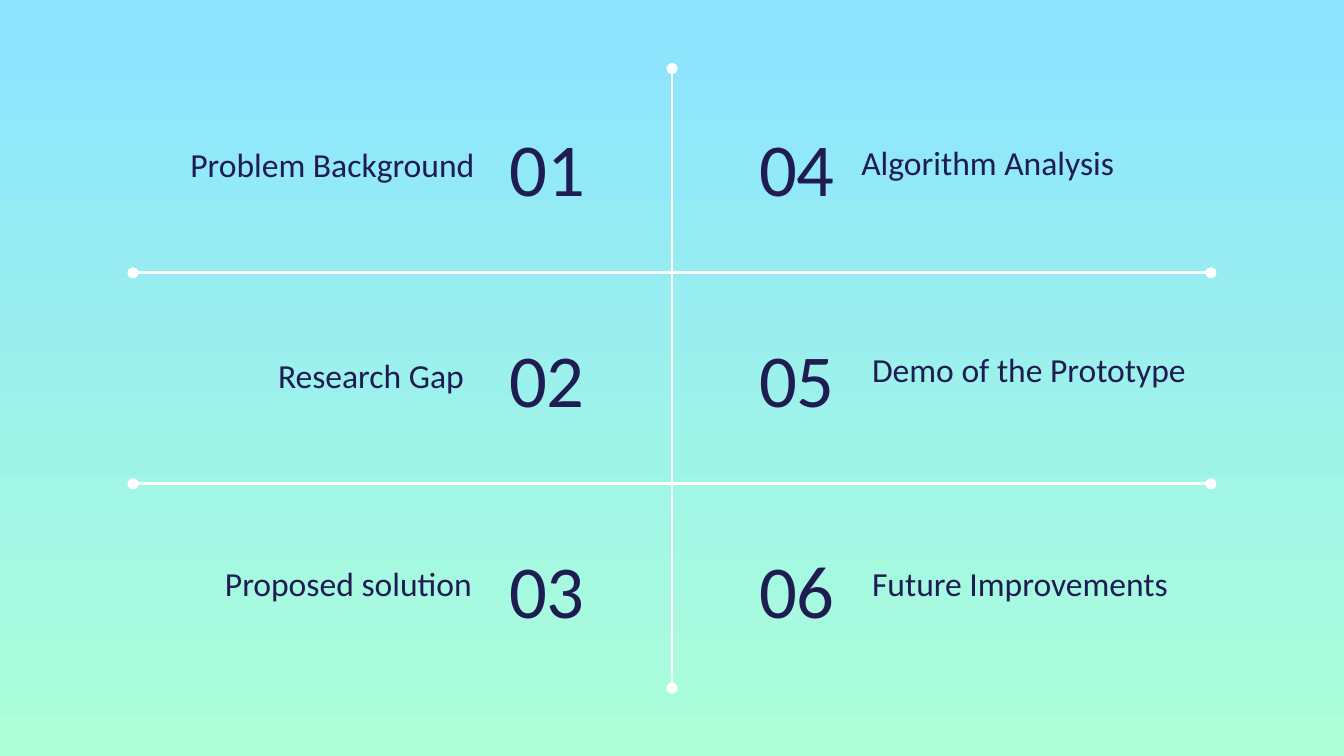
from lxml.etree import SubElement
from pptx import Presentation
from pptx.dml.color import RGBColor
from pptx.enum.shapes import MSO_CONNECTOR
from pptx.enum.text import MSO_ANCHOR, PP_ALIGN
from pptx.oxml.ns import qn
from pptx.util import Inches, Pt

COLORS = {"sky": "8BE3FF", "mint": "ACFFD9", "ink": "1F1C51", "rule": "FFFFFF"}
SLIDE_WIDTH = 10
SLIDE_HEIGHT = SLIDE_WIDTH * 9 / 16
MIDDLE = SLIDE_WIDTH / 2
ROW_TOP, ROW_STEP = 0.81, 1.57
NUMBER_WIDTH, NUMBER_HEIGHT = 1.3, 0.86
TOPIC_WIDTH, TOPIC_HEIGHT = 2.98, 0.5

# Per column: number's left edge, alignments, and (topic, left edge, drop from row top)
COLUMNS = [
    (MIDDLE - NUMBER_WIDTH - 0.01, PP_ALIGN.LEFT, PP_ALIGN.RIGHT, [
        ("Problem Background", 0.65, 0.16),
        ("Research Gap", 0.57, 0.16),
        ("Proposed solution", 0.63, 0.14)]),
    (MIDDLE + 0.01, PP_ALIGN.RIGHT, PP_ALIGN.LEFT, [
        ("Algorithm Analysis", 6.31, 0.15),
        ("Demo of the Prototype", 6.39, 0.12),
        ("Future Improvements", 6.39, 0.14)]),
]


def write(box, text, place, size, align, anchor):
    box.left, box.top, box.width, box.height = (Inches(n) for n in place)
    frame = box.text_frame
    margins = dict.fromkeys(
        ("margin_left", "margin_top", "margin_right", "margin_bottom"), Inches(0.1))
    for name, value in {**margins, "word_wrap": True, "vertical_anchor": anchor}.items():
        setattr(frame, name, value)
    para = frame.paragraphs[0]
    para.alignment = align
    para.line_spacing = 1.0
    span = para.add_run()
    span.text = text
    for name, value in {"name": "Calibri", "size": Pt(size)}.items():
        setattr(span.font, name, value)
    span.font.color.rgb = RGBColor.from_string(COLORS["ink"])


def add_rule(page, *ends):
    """Draw a straight line with a round dot at both ends."""
    rule = page.shapes.add_connector(MSO_CONNECTOR.STRAIGHT, *(Inches(n) for n in ends))
    rule.line.width = Pt(1.5)
    rule.line.color.rgb = RGBColor.from_string(COLORS["rule"])
    outline = rule.line._get_or_add_ln()
    for end in ("a:headEnd", "a:tailEnd"):
        SubElement(outline, qn(end), type="oval")
    SubElement(rule._element.spPr, qn("a:effectLst"))


deck = Presentation()
deck.slide_width, deck.slide_height = Inches(SLIDE_WIDTH), Inches(SLIDE_HEIGHT)
page = deck.slides.add_slide(deck.slide_layouts[5])

backdrop = page.background.fill
backdrop.gradient()
backdrop.gradient_angle = 270
for stop, position, color in zip(backdrop.gradient_stops, (0, 1), ("sky", "mint")):
    stop.position = position
    stop.color.rgb = RGBColor.from_string(COLORS[color])

add_rule(page, MIDDLE, 0.51, MIDDLE, 5.12)
for row in range(2):
    y = 2.03 + row * ROW_STEP
    add_rule(page, 0.99, y, SLIDE_WIDTH - 0.99, y)

number = 0
for number_left, number_align, topic_align, topics in COLUMNS:
    for row, (topic, topic_left, drop) in enumerate(topics):
        number += 1
        top = ROW_TOP + row * ROW_STEP
        number_box = page.shapes.title if number == 1 else page.shapes.add_textbox(0, 0, 0, 0)
        write(number_box, f"{number:02}", (number_left, top, NUMBER_WIDTH, NUMBER_HEIGHT),
              40, number_align, MSO_ANCHOR.MIDDLE)
        write(page.shapes.add_textbox(0, 0, 0, 0), topic,
              (topic_left, top + drop, TOPIC_WIDTH, TOPIC_HEIGHT),
              18, topic_align, MSO_ANCHOR.BOTTOM)

deck.save("out.pptx")
